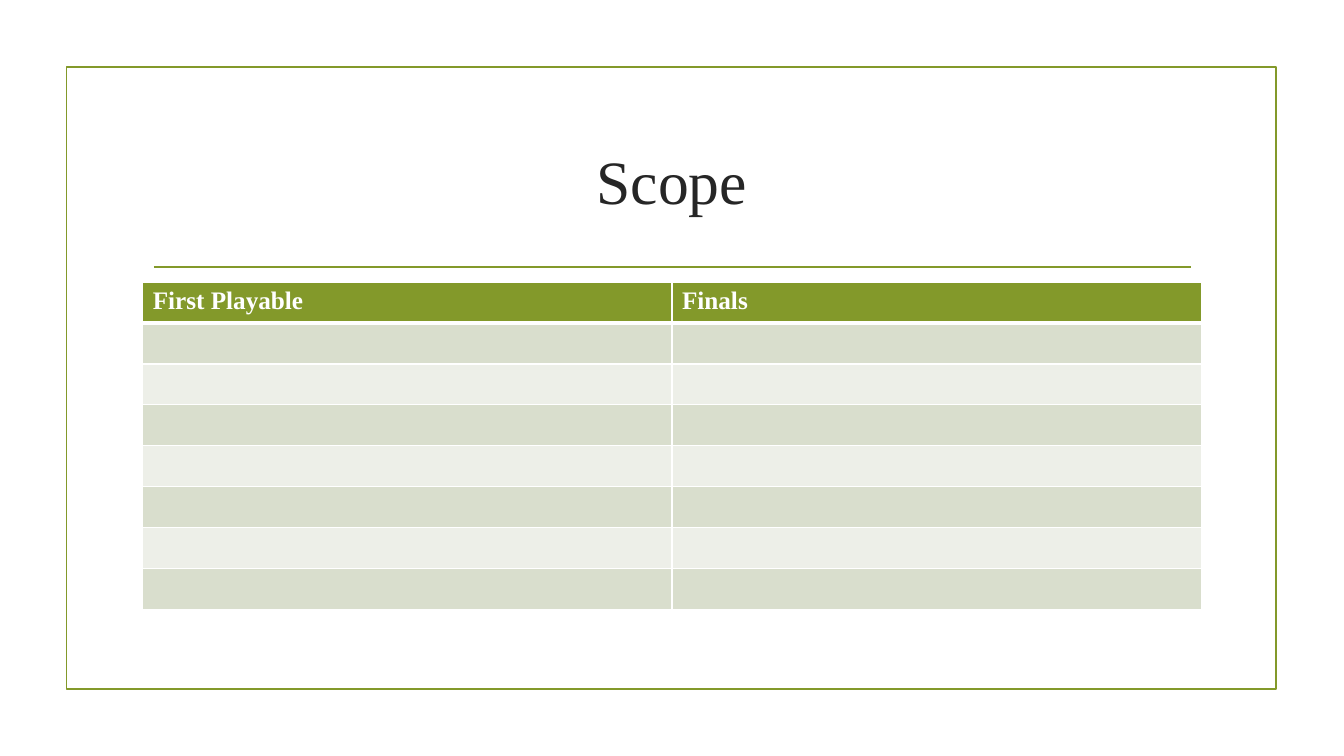
"""Build the Scope slide with an empty two-column planning table."""
from lxml import etree
from pptx import Presentation
from pptx.dml.color import RGBColor
from pptx.enum.shapes import MSO_CONNECTOR, MSO_SHAPE
from pptx.enum.text import MSO_ANCHOR, PP_ALIGN
from pptx.oxml.ns import qn
from pptx.util import Pt

RECTANGLE = MSO_SHAPE.RECTANGLE
STRAIGHT = MSO_CONNECTOR.STRAIGHT
MIDDLE = MSO_ANCHOR.MIDDLE
CENTER = PP_ALIGN.CENTER

GREEN = RGBColor(0x83, 0x99, 0x2A)
DARK_BAND = RGBColor(0xD9, 0xDE, 0xCD)
LIGHT_BAND = RGBColor(0xED, 0xEF, 0xE8)
INK = RGBColor(0x26, 0x26, 0x26)
WHITE = RGBColor(0xFF, 0xFF, 0xFF)

TITLE_ONLY_LAYOUT = 5
HEADERS = ("First Playable", "Finals")
ROW_COUNT = 8
ROW_HEIGHT = 29.2
COLUMN_WIDTH = 378


class SlideBuilder:
    font_name = "Times New Roman"
    line_width = 1.25

    def __init__(self, presentation):
        layout = presentation.slide_layouts[TITLE_ONLY_LAYOUT]
        self.slide = presentation.slides.add_slide(layout)

    def style_text(self, paragraph, size, color, bold=False):
        for run in paragraph.runs:
            run.font.name = self.font_name
            run.font.size = Pt(size)
            run.font.bold = bold
            run.font.color.rgb = color

    def style_line(self, line):
        line.color.rgb = GREEN
        line.width = Pt(self.line_width)

    def frame(self, left, top, width, height):
        shape = self.slide.shapes.add_shape(
            RECTANGLE, Pt(left), Pt(top), Pt(width), Pt(height))
        shape.shadow.inherit = False
        shape.fill.background()
        self.style_line(shape.line)

    def rule(self, left, right, top):
        connector = self.slide.shapes.add_connector(
            STRAIGHT, Pt(left), Pt(top), Pt(right), Pt(top))
        self.style_line(connector.line)
        properties = connector.element.find(qn("p:spPr"))
        etree.SubElement(properties, qn("a:effectLst"))

    def title(self, text, left, top, width, height):
        title = self.slide.shapes.title
        title.left, title.top = Pt(left), Pt(top)
        title.width, title.height = Pt(width), Pt(height)
        title.text_frame.text = text
        title.text_frame.vertical_anchor = MIDDLE
        paragraph = title.text_frame.paragraphs[0]
        paragraph.alignment = CENTER
        self.style_text(paragraph, 44, INK)
        title.element.getparent().append(title.element)

    def cell_borders(self, cell, widths):
        properties = cell._tc.get_or_add_tcPr()
        for side, width in widths.items():
            border = etree.SubElement(
                properties, qn(f"a:ln{side}"), w=str(Pt(width)))
            fill = etree.SubElement(border, qn("a:solidFill"))
            etree.SubElement(fill, qn("a:srgbClr"), val=str(WHITE))

    def table(self, headers, row_count, left, top):
        table = self.slide.shapes.add_table(
            row_count, len(headers), Pt(left), Pt(top),
            Pt(COLUMN_WIDTH * len(headers)), Pt(ROW_HEIGHT * row_count)).table
        for row_index, row in enumerate(table.rows):
            row.height = Pt(ROW_HEIGHT)
            band = DARK_BAND if row_index % 2 else LIGHT_BAND
            above = 3 if row_index == 1 else 1
            below = 3 if row_index == 0 else 1
            for cell in row.cells:
                self.cell_borders(
                    cell, {"L": 1, "R": 1, "T": above, "B": below})
                cell.fill.solid()
                cell.fill.fore_color.rgb = band if row_index else GREEN
        for cell, header in zip(table.rows[0].cells, headers):
            cell.text_frame.text = header
            self.style_text(cell.text_frame.paragraphs[0], 18, WHITE, True)


def main():
    presentation = Presentation()
    presentation.slide_width = Pt(960)
    presentation.slide_height = Pt(540)
    builder = SlideBuilder(presentation)
    builder.frame(47.5, 48, 864, 444)
    builder.rule(110, 850.5, 190.8)
    builder.title("Scope", 102, 77, 756, 103)
    builder.table(HEADERS, ROW_COUNT, 102, 201.6)
    presentation.save("out.pptx")


if __name__ == "__main__":
    main()
